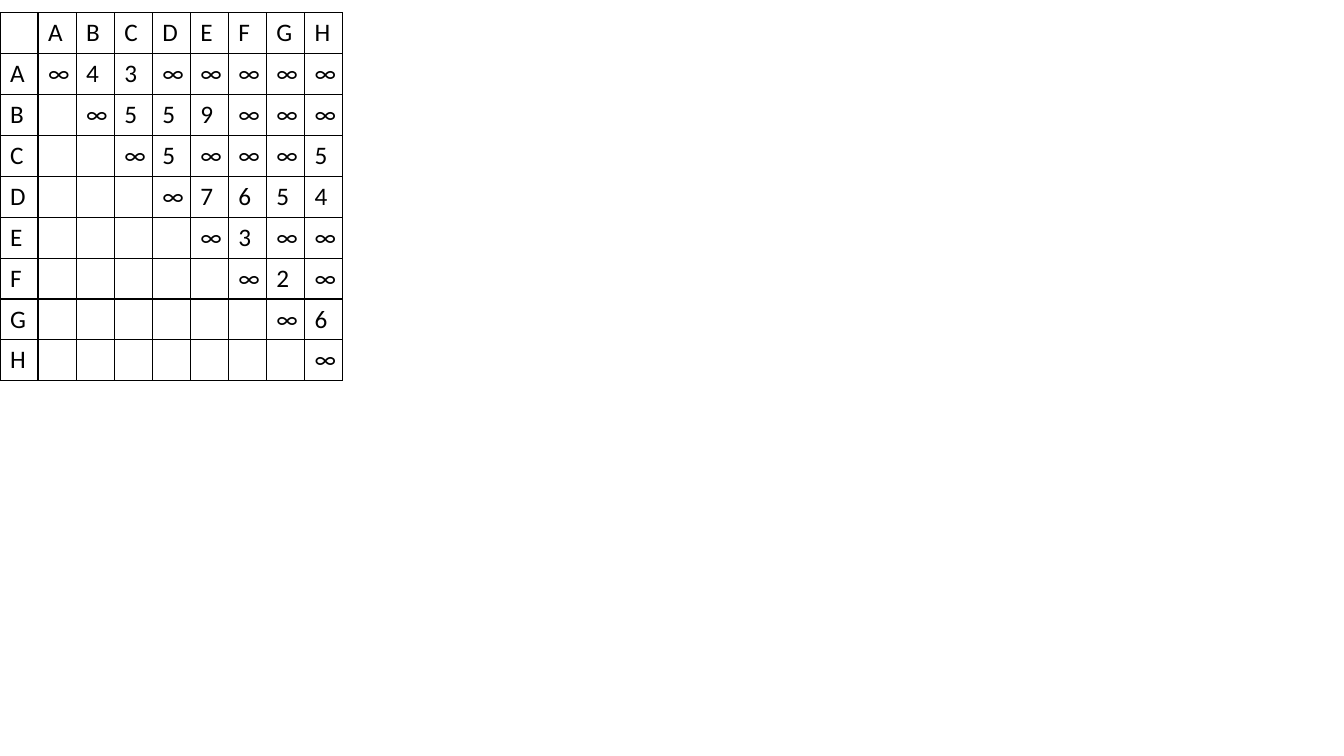
from pptx import Presentation
from pptx.dml.color import RGBColor as Rgb
from pptx.oxml.ns import qn
from pptx.util import Pt
from lxml.etree import SubElement as Sub

COLORS = {"ink": "000000", "paper": "FFFFFF"}
FONT = "Calibri"
NODES = "ABCDEFGH"
# Upper triangle of the distance matrix, each row starting on the diagonal
COSTS = ["∞43∞∞∞∞∞", "∞559∞∞∞", "∞5∞∞∞5", "∞7654", "∞3∞∞", "∞2∞", "∞6", "∞"]


def add_edges(cell):
    """Draw a thin line on all four sides of a cell."""
    props = cell._tc.get_or_add_tcPr()
    for side in ("lnL", "lnR", "lnT", "lnB"):
        line = Sub(props, qn(f"a:{side}"), w=str(Pt(1)))
        fill = Sub(line, qn("a:solidFill"))
        Sub(fill, qn("a:srgbClr"), val=COLORS["ink"])


def fill_cell(cell, text):
    add_edges(cell)
    cell.fill.solid()
    cell.fill.fore_color.rgb = Rgb.from_string(COLORS["paper"])
    if text.strip():
        run = cell.text_frame.paragraphs[0].add_run()
        run.text = text
        run.font.size = Pt(18)
        run.font.name = FONT
        run.font.color.rgb = Rgb.from_string(COLORS["ink"])


def add_matrix(slide, left, top, width, height):
    size = len(NODES) + 1
    rows = [" " + NODES]
    rows += [node + costs.rjust(len(NODES)) for node, costs in zip(NODES, COSTS)]
    table = slide.shapes.add_table(
        size, size, Pt(left), Pt(top), Pt(width), Pt(height)).table
    table.first_row = table.horz_banding = False
    for col in table.columns:
        col.width = Pt(width / size)
    for r, row in enumerate(rows):
        table.rows[r].height = Pt(height / size)
        for c, text in enumerate(row):
            fill_cell(table.cell(r, c), text)


def main():
    deck = Presentation()
    deck.slide_width, deck.slide_height = Pt(960), Pt(540)
    slide = deck.slides.add_slide(deck.slide_layouts[6])
    add_matrix(slide, 0, 9.2, 244.8, 262.8)
    deck.save("out.pptx")


if __name__ == "__main__":
    main()
